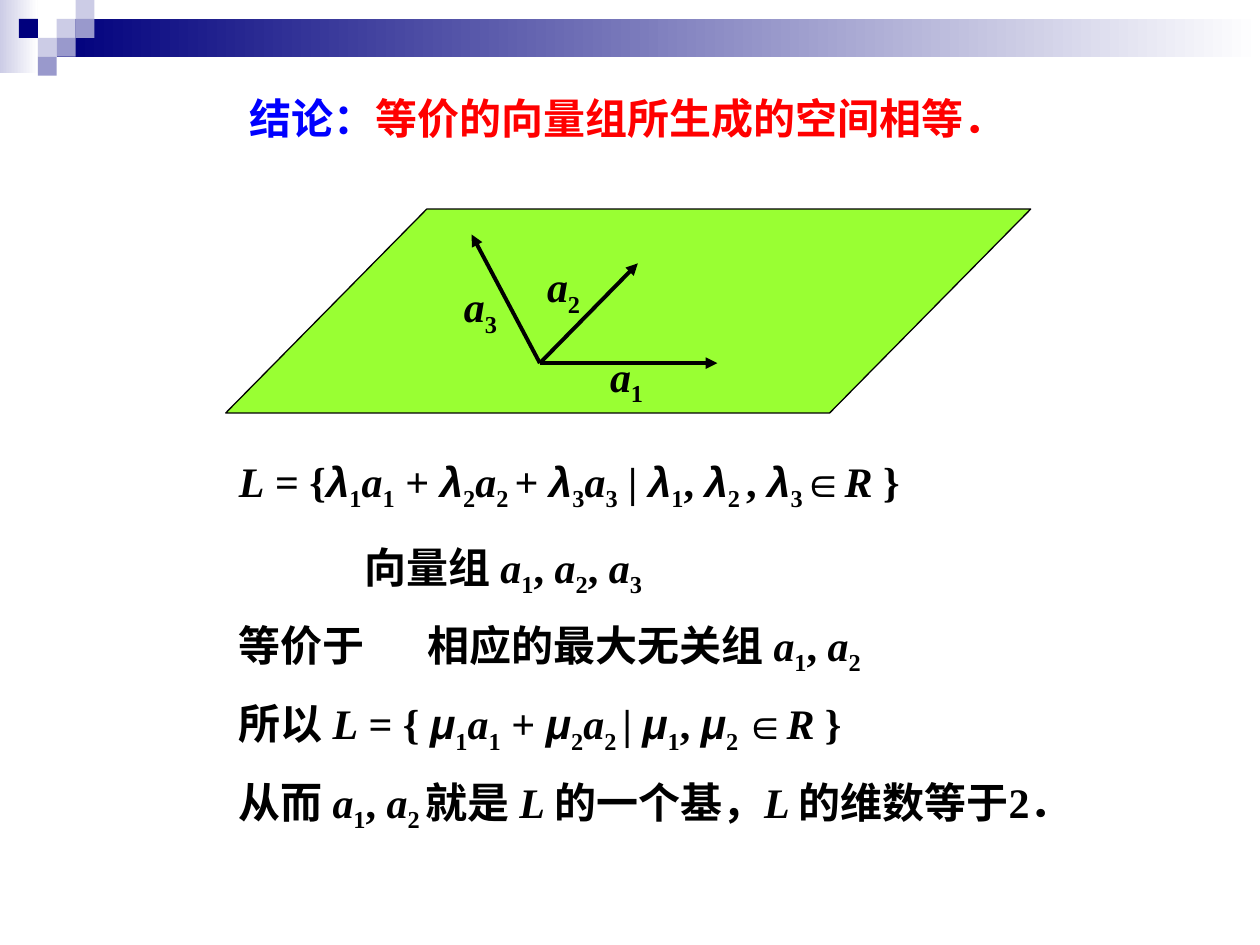
import dataclasses

import lxml.etree
import pptx
import pptx.dml.color
import pptx.enum.shapes
import pptx.enum.text
import pptx.oxml.ns
import pptx.util

Pt = pptx.util.Pt
RGB = pptx.dml.color.RGBColor.from_string
SHAPE = pptx.enum.shapes.MSO_SHAPE
qn = pptx.oxml.ns.qn


@dataclasses.dataclass(frozen=True)
class Theme:
    """Colours, fonts and sizes of the slide."""
    navy: str = "00007D"
    violet: str = "9999CC"
    lavender: str = "CCCCE6"
    white: str = "FFFFFF"
    green: str = "99FF33"
    black: str = "000000"
    blue: str = "0000FF"
    red: str = "FF0000"
    serif: str = "Times New Roman"
    sans: str = "Arial"
    size: int = 24
    outline: float = 0.75
    arrow: float = 2.25


THEME = Theme()


def indexed(letter, index):
    """Return the runs of a letter with its subscript."""
    return [(letter, "greek" if letter in "λμ" else "italic"), (index, "index")]


def product(coefficient, index):
    """Return the runs of a coefficient times a vector."""
    return indexed(coefficient, index.strip()) + indexed("a", index)


def joined(letter, indices):
    """Return the runs of indexed letters parted by commas."""
    runs = []
    for index in indices:
        runs += ([(", ", "plain")] if runs else []) + indexed(letter, index)
    return runs


def add_runs(paragraph, runs, color=THEME.black):
    """Add styled runs to a paragraph."""
    for text, style in runs:
        run = paragraph.add_run()
        run.text = text
        font = run.font
        font.name = THEME.sans if style == "greek" else THEME.serif
        font.size = Pt(THEME.size)
        font.bold = True
        font.italic = style in ("greek", "italic")
        font.color.rgb = RGB(color)
        if style == "index":
            font._element.set("baseline", "-25000")


def add_block(slide, box, kind, fill):
    """Add a shape filled with one colour or a pair of gradient colours."""
    block = slide.shapes.add_shape(kind, *map(Pt, box))
    block.shadow.inherit = False
    block.line.fill.background()
    if isinstance(fill, tuple):
        block.fill.gradient()
        block.fill.gradient_angle = 0
        for stop, color, position in zip(block.fill.gradient_stops, fill, (0, 1)):
            stop.color.rgb = RGB(color)
            stop.position = position
    else:
        block.fill.solid()
        block.fill.fore_color.rgb = RGB(fill)
    return block


def add_banner(slide, box):
    """Draw the gradient bar and the chequered corner."""
    left, top, width, height = box
    cell = height / 4
    add_block(slide, (left, top, 2 * cell, height - 1.5), SHAPE.RECTANGLE,
              (THEME.lavender, THEME.white))
    add_block(slide, (left + 3 * cell, top + cell, width - 3 * cell, 2 * cell),
              SHAPE.RECTANGLE, (THEME.navy, THEME.white))
    squares = [(3, 1, THEME.lavender), (4, 0, THEME.lavender), (4, 1, THEME.violet),
               (2, 2, THEME.lavender), (1, 1, THEME.navy), (3, 2, THEME.violet),
               (2, 3, THEME.violet)]
    for column, row, color in squares:
        add_block(slide, (left + column * cell, top + row * cell, cell, cell),
                  SHAPE.RECTANGLE, color)


def add_title(slide, box):
    """Place the conclusion in the title placeholder."""
    title = slide.shapes.title
    title.left, title.top, title.width, title.height = map(Pt, box)
    frame = title.text_frame
    frame.word_wrap = False
    frame.auto_size = pptx.enum.text.MSO_AUTO_SIZE.NONE
    frame.vertical_anchor = pptx.enum.text.MSO_ANCHOR.TOP
    statement = frame.paragraphs[0]
    statement.alignment = pptx.enum.text.PP_ALIGN.LEFT
    statement.space_before = Pt(0)
    add_runs(statement, [("结论：", "plain")], THEME.blue)
    add_runs(statement, [("等价的向量组所生成的空间相等．", "plain")], THEME.red)


def add_plane(slide, box):
    """Draw the plane with its three vectors and their labels."""
    left, top, _, _ = box
    plane = add_block(slide, box, SHAPE.PARALLELOGRAM, THEME.green)
    plane.adjustments[0] = 0.986
    plane.line.color.rgb = RGB(THEME.black)
    plane.line.width = Pt(THEME.outline)
    origin = (left + 179.5, top + 88)
    vectors = [("1", (281, 88), (212.5, 77)),
               ("2", (235.5, 31), (176.5, 26)),
               ("3", (140.5, 14.5), (129, 37.5))]
    for index, (tip_x, tip_y), (label_x, label_y) in vectors:
        vector = slide.shapes.add_connector(
            pptx.enum.shapes.MSO_CONNECTOR.STRAIGHT,
            *map(Pt, (*origin, left + tip_x, top + tip_y)))
        vector.line.color.rgb = RGB(THEME.black)
        vector.line.width = Pt(THEME.arrow)
        properties = vector._element.find(qn("p:spPr"))
        lxml.etree.SubElement(properties.find(qn("a:ln")), qn("a:tailEnd"),
                              type="triangle")
        lxml.etree.SubElement(properties, qn("a:effectLst"))
        label = slide.shapes.add_textbox(
            *map(Pt, (left + label_x, top + label_y, 34.5, 36)))
        label.text_frame.word_wrap = False
        add_runs(label.text_frame.paragraphs[0], indexed("a", index))


def add_derivation(slide, box):
    """Write the span, its equivalent vector sets and its dimension."""
    derivation = slide.shapes.add_textbox(*map(Pt, box)).text_frame
    derivation.word_wrap = True
    closing = [("∈", "plain"), ("R", "italic"), (" }", "plain")]
    span = ([("L", "italic"), (" = {", "plain")]
            + product("λ", "1") + [(" + ", "plain")]
            + product("λ", "2 ") + [("+ ", "plain")]
            + product("λ", "3") + [(" | ", "plain")]
            + joined("λ", ("1", "2 ", "3")) + closing)
    vector_set = [("\t\t向量组 ", "plain")] + joined("a", "123")
    independent_set = [("等价于\t相应的最大无关组 ", "plain")] + joined("a", "12")
    reduced_span = ([("所以 ", "plain"), ("L", "italic"), (" = { ", "plain")]
                    + product("μ", "1") + [(" + ", "plain")]
                    + product("μ", "2 ") + [("| ", "plain")]
                    + joined("μ", ("1", "2 ")) + closing)
    dimension = ([("从而 ", "plain")] + joined("a", ("1", "2 "))
                 + [("就是 ", "plain"), ("L ", "italic"), ("的一个基，", "plain"),
                    ("L ", "italic"), ("的维数等于2．", "plain")])
    steps = [(span, 0, 1), (vector_set, 0, 1.5), (independent_set, 12, 1),
             (reduced_span, 12, 1), (dimension, 12, 1)]
    for number, (runs, gap, spacing) in enumerate(steps):
        step = derivation.add_paragraph() if number else derivation.paragraphs[0]
        step.space_before = Pt(gap)
        step.line_spacing = spacing
        add_runs(step, runs)


def main():
    """Build the slide and save it."""
    deck = pptx.Presentation()
    deck.slide_width, deck.slide_height = Pt(720), Pt(540)
    slide = deck.slides.add_slide(deck.slide_layouts[5])
    add_banner(slide, (0, 0, 720, 43.2))
    add_title(slide, (135.5, 49, 448.5, 36))
    add_plane(slide, (129, 119.5, 460, 116.5))
    add_derivation(slide, (129.5, 256.5, 495.5, 209))
    deck.save("out.pptx")


if __name__ == "__main__":
    main()
